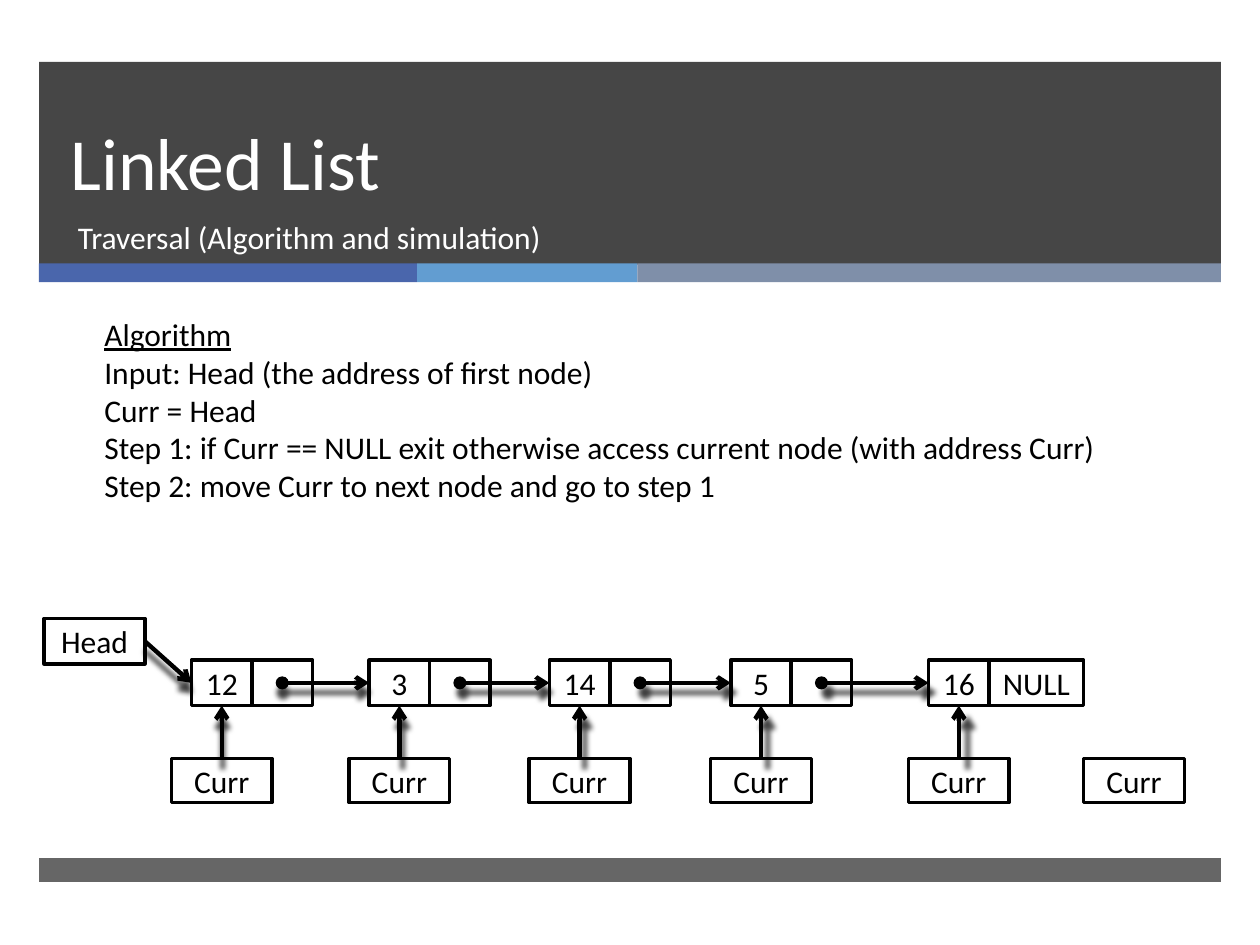
from dataclasses import dataclass
from lxml import etree
from pptx import Presentation, util as u
from pptx.dml.color import RGBColor
from pptx.enum import shapes, text
from pptx.oxml import ns


@dataclass(frozen=True)
class Theme:
    font: str = "Calibri"
    dark: str = "262626"
    ink: str = "000000"
    paper: str = "FFFFFF"
    bars: tuple = ("4A66AC", "629DD1", "7F8FA9")
    head: int = 42
    body: int = 18
    edge: float = 2
    arrow: float = 2.5


T = Theme()
INCH = u.Inches
NODE_Y, NODE_H, CELL = 5.24, 0.36, 0.48
CURR_Y, CURR_H, TAG = 6.02, 0.35, 0.8


def rgb(code):
    return RGBColor.from_string(code)


def sub(parent, tag, **attrs):
    item = etree.SubElement(parent, ns.qn(tag))
    for key, val in attrs.items():
        item.set(key, str(val))
    return item


def style(frame, size, color, align=text.PP_ALIGN.LEFT):
    for para in frame.paragraphs:
        para.alignment = align
        for run in para.runs:
            run.font.name = T.font
            run.font.size = u.Pt(size)
            run.font.color.rgb = rgb(color)


def rect(slide, x, y, w, h, fill, alpha=None):
    shape = slide.shapes.add_shape(
        shapes.MSO_SHAPE.RECTANGLE, INCH(x), INCH(y), INCH(w), INCH(h))
    shape.shadow.inherit = False
    shape.fill.solid()
    shape.fill.fore_color.rgb = rgb(fill)
    shape.line.fill.background()
    if alpha:
        color = shape.fill._xPr.find(".//" + ns.qn("a:srgbClr"))
        sub(color, "a:alpha", val=alpha * 1000)
    return shape


def box(slide, x, y, w, h, label=""):
    shape = rect(slide, x, y, w, h, T.paper)
    shape.line.color.rgb = rgb(T.ink)
    shape.line.width = u.Pt(T.edge)
    if label:
        frame = shape.text_frame
        frame.margin_left = frame.margin_right = 0
        frame.vertical_anchor = text.MSO_ANCHOR.MIDDLE
        frame.text = label
        style(frame, T.body, T.ink, text.PP_ALIGN.CENTER)


def arrow(slide, x1, y1, x2, y2, dot=False):
    link = slide.shapes.add_connector(
        shapes.MSO_CONNECTOR.STRAIGHT, INCH(x1), INCH(y1), INCH(x2), INCH(y2))
    link.line.color.rgb = rgb(T.ink)
    link.line.width = u.Pt(T.arrow)
    line = link.line._get_or_add_ln()
    if dot:
        sub(line, "a:headEnd", type="oval")
    sub(line, "a:tailEnd", type="arrow")
    effect = sub(link._element.spPr, "a:effectLst")
    shade = sub(effect, "a:outerShdw", blurRad=u.Pt(3), dist=u.Pt(2),
                dir=110 * 60000, sx=101000, sy=101000, algn="bl",
                rotWithShape=0)
    color = sub(shade, "a:srgbClr", val=T.ink)
    sub(color, "a:alpha", val=75000)


def note(slide, x, y, w, h, words, color):
    area = slide.shapes.add_textbox(INCH(x), INCH(y), INCH(w), INCH(h))
    frame = area.text_frame
    frame.word_wrap = True
    frame.text = words
    style(frame, T.body, color)
    return frame


def banner(slide):
    rect(slide, 0.31, 0.49, 9.38, 1.61, T.dark, 85)
    x = 0.31
    for width, color in zip((3, 1.75, 4.63), T.bars):
        rect(slide, x, 2.09, width, 0.15, color)
        x += width
    rect(slide, 0.31, 6.81, 9.38, 0.19, T.dark, 70)


def title(slide, words):
    shape = slide.shapes.title
    slide.shapes._spTree.append(shape._element)
    shape.left, shape.top = INCH(0.46), INCH(0.49)
    shape.width, shape.height = INCH(8.54), INCH(1.19)
    frame = shape.text_frame
    frame.text = words
    frame.vertical_anchor = text.MSO_ANCHOR.BOTTOM
    frame.auto_size = text.MSO_AUTO_SIZE.NONE
    style(frame, T.head, T.paper)
    frame.paragraphs[0].line_spacing = u.Pt(46)


def chain(slide, nodes):
    mid = NODE_Y + NODE_H / 2
    last = len(nodes) - 1
    box(slide, 0.35, 4.91, TAG, NODE_H, "Head")
    for i, (x, value) in enumerate(nodes):
        box(slide, x, NODE_Y, CELL, NODE_H, value)
        end = i == last
        box(slide, x + CELL, NODE_Y, 0.75 if end else CELL, NODE_H,
            "NULL" if end else "")
    arrow(slide, 1.15, 5.09, nodes[0][0], mid)
    for (x, _), (goal, _) in zip(nodes, nodes[1:]):
        arrow(slide, x + 1.5 * CELL, mid, goal, mid, dot=True)
    for x, _ in nodes:
        center = x + CELL / 2
        box(slide, center - TAG / 2, CURR_Y, TAG, CURR_H, "Curr")
        arrow(slide, center, CURR_Y, center, NODE_Y + NODE_H)
    box(slide, 8.6, CURR_Y, TAG, CURR_H, "Curr")


def main():
    deck = Presentation()
    deck.slide_width, deck.slide_height = INCH(10), INCH(7.5)
    slide = deck.slides.add_slide(deck.slide_layouts[5])
    banner(slide)
    title(slide, "Linked List")
    note(slide, 0.52, 1.68, 8.48, 0.53,
         "Traversal (Algorithm and simulation)", T.paper)
    chain(slide, [(1.52, "12"), (2.93, "3"), (4.36, "14"),
                  (5.8, "5"), (7.37, "16")])
    steps = note(slide, 0.73, 2.45, 8.49, 1.62, "\n".join((
        "Algorithm",
        "Input: Head (the address of first node)",
        "Curr = Head",
        "Step 1: if Curr == NULL exit otherwise access current node "
        "(with address Curr)",
        "Step 2: move Curr to next node and go to step 1")), T.ink)
    steps.paragraphs[0].runs[0].font.underline = True
    deck.save("out.pptx")


main()
